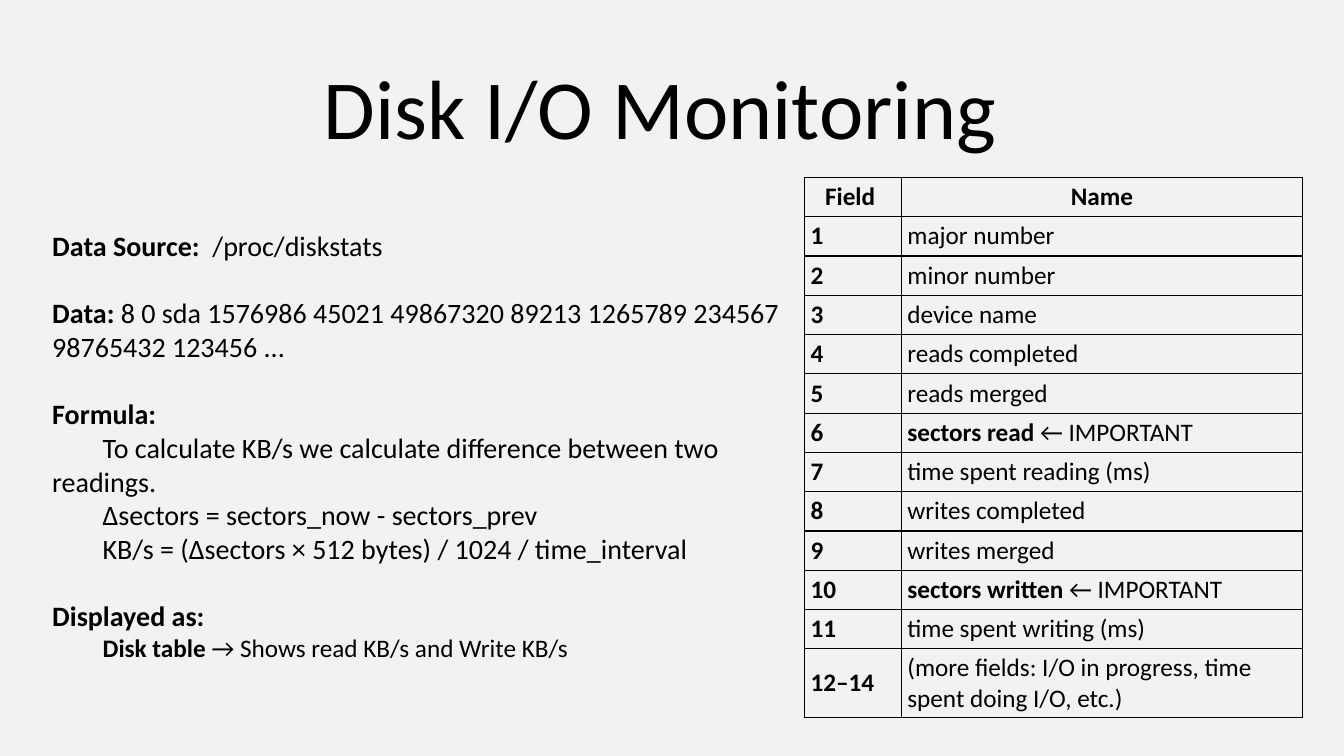
from lxml import etree
from pptx import Presentation
from pptx.dml.color import RGBColor
from pptx.enum import text
from pptx.oxml import ns
from pptx.util import Inches, Pt

BLACK = RGBColor(0x00, 0x00, 0x00)
PAPER = RGBColor(0xF2, 0xF2, 0xF2)
FONT = "Calibri"

# Each group of lines is set apart by one line; a line is (indented, runs),
# and a run is (words, bold, size).
GROUPS = [
    [(False, [("Data Source:  ", True, 20), ("/proc/diskstats", False, 20)])],
    [(False, [("Data: ", True, 20),
              ("8 0 sda 1576986 45021 49867320 89213 1265789 234567 "
               "98765432 123456 ...", False, 20)])],
    [(False, [("Formula:", True, 20)]),
     (True, [("To calculate KB/s we calculate difference between two readings.",
              False, 20)]),
     (True, [("Δsectors = sectors_now - sectors_prev", False, 20)]),
     (True, [("KB/s = (Δsectors × 512 bytes) / 1024 / time_interval",
              False, 20)])],
    [(False, [("Displayed as:", True, 20)]),
     (True, [("Disk table ", True, 18),
             ("→ Shows read KB/s and Write KB/s", False, 18)])],
]

# Field, plain name, key name shown in bold before it
FIELDS = [
    ("1", "major number", ""),
    ("2", "minor number", ""),
    ("3", "device name", ""),
    ("4", "reads completed", ""),
    ("5", "reads merged", ""),
    ("6", " ← IMPORTANT", "sectors read"),
    ("7", "time spent reading (ms)", ""),
    ("8", "writes completed", ""),
    ("9", "writes merged", ""),
    ("10", " ← IMPORTANT", "sectors written"),
    ("11", "time spent writing (ms)", ""),
    ("12–14", "(more fields: I/O in progress, time spent doing I/O, etc.)", ""),
]


def add_run(para, words, bold, size):
    run = para.add_run()
    run.text = words
    font = run.font
    font.name, font.size, font.bold = FONT, Pt(size), bold
    font.color.rgb = BLACK


def add_box(slide, left, top, width, height):
    box = slide.shapes.add_textbox(Inches(left), Inches(top),
                                   Inches(width), Inches(height))
    box.text_frame.word_wrap = True
    return box.text_frame


def add_title(slide, *area):
    frame = add_box(slide, *area)
    add_run(frame.paragraphs[0], "Disk I/O Monitoring", False, 60)


def add_notes(slide, *area):
    """Place the grouped lines on source, formula and display."""
    frame = add_box(slide, *area)
    para = frame.paragraphs[0]
    for group_no, group in enumerate(GROUPS):
        for line_no, (indented, runs) in enumerate(group):
            if group_no or line_no:
                para = frame.add_paragraph()
            if group_no and not line_no:
                para.space_before = Pt(24)
            if indented:
                props = para._p.get_or_add_pPr()
                props.set("marL", "0")
                props.set("indent", str(Inches(0.5)))
            for run in runs:
                add_run(para, *run)


def add_border(cell):
    props = cell._tc.get_or_add_tcPr()
    for side in ("a:lnL", "a:lnR", "a:lnT", "a:lnB"):
        line = etree.SubElement(props, ns.qn(side), w=str(Pt(1)))
        fill = etree.SubElement(line, ns.qn("a:solidFill"))
        etree.SubElement(fill, ns.qn("a:srgbClr"), val=str(BLACK))


def fill_cell(cell, runs, align=None):
    add_border(cell)
    cell.fill.background()
    cell.vertical_anchor = text.MSO_ANCHOR.MIDDLE
    cell.margin_left = cell.margin_right = Inches(0.06)
    cell.margin_top = cell.margin_bottom = Inches(0.03)
    para = cell.text_frame.paragraphs[0]
    para.alignment = align
    for words, bold in runs:
        add_run(para, words, bold, 18)


def add_fields(slide, left, top, width, height):
    """Place the table of fields; the last row takes the height left over."""
    count = len(FIELDS) + 1
    table = slide.shapes.add_table(count, 2, Inches(left), Inches(top),
                                   Inches(width), Inches(height)).table
    table.first_row = table.horz_banding = False
    table.columns[0].width = Inches(0.96)
    table.columns[1].width = Inches(width - 0.96)
    for row in table.rows:
        row.height = Inches(0.39)
    table.rows[count - 1].height = Inches(height - 0.39 * (count - 1))

    for col, head in enumerate(("Field ", "Name")):
        fill_cell(table.cell(0, col), [(head, True)], text.PP_ALIGN.CENTER)
    for row, (field, name, key) in enumerate(FIELDS, 1):
        fill_cell(table.cell(row, 0), [(field, True)])
        runs = [(key, True)] if key else []
        fill_cell(table.cell(row, 1), runs + [(name, False)])


def main():
    deck = Presentation()
    deck.slide_width, deck.slide_height = Inches(13.33), Inches(7.5)
    slide = deck.slides.add_slide(deck.slide_layouts[6])
    back = slide.background.fill
    back.solid()
    back.fore_color.rgb = PAPER
    add_title(slide, 3.11, 0.5, 7.12, 1.11)
    add_notes(slide, 0.42, 2.22, 7.64, 4.48)
    add_fields(slide, 7.98, 1.76, 4.94, 5.36)
    deck.save("out.pptx")


if __name__ == "__main__":
    main()
